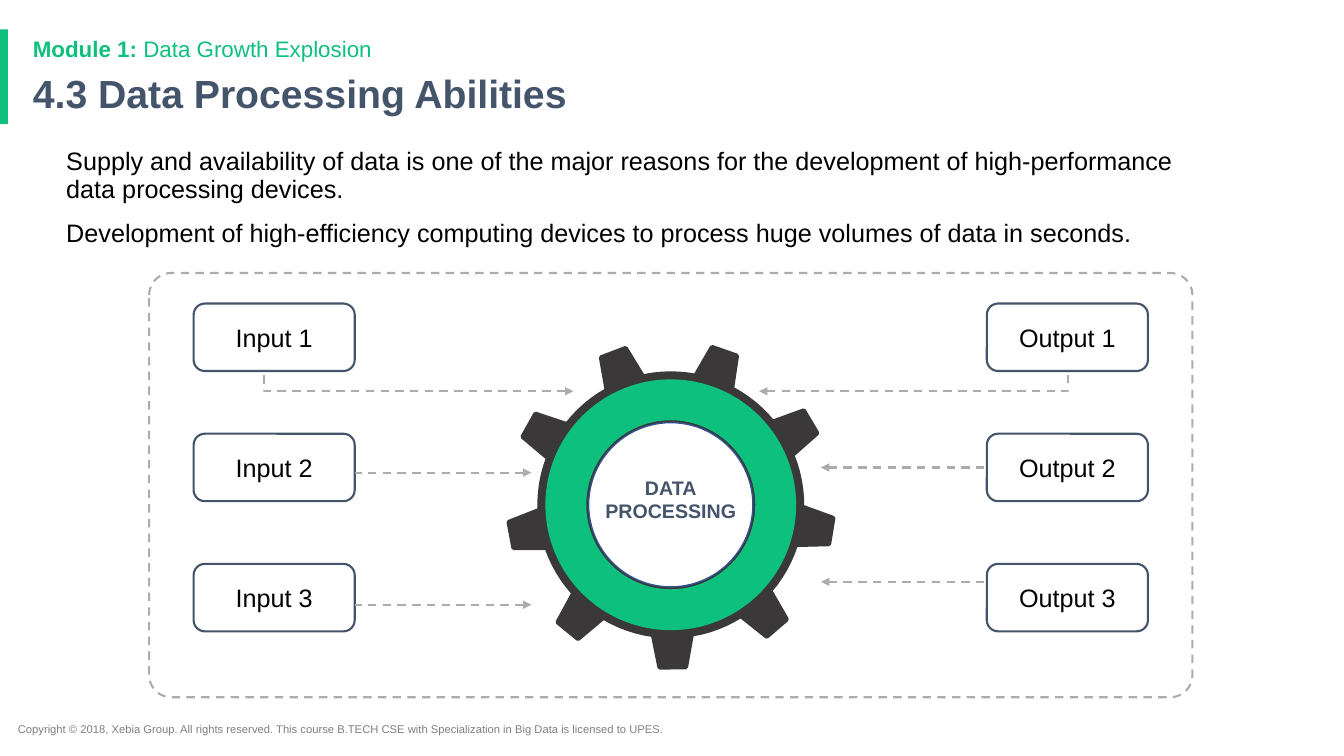
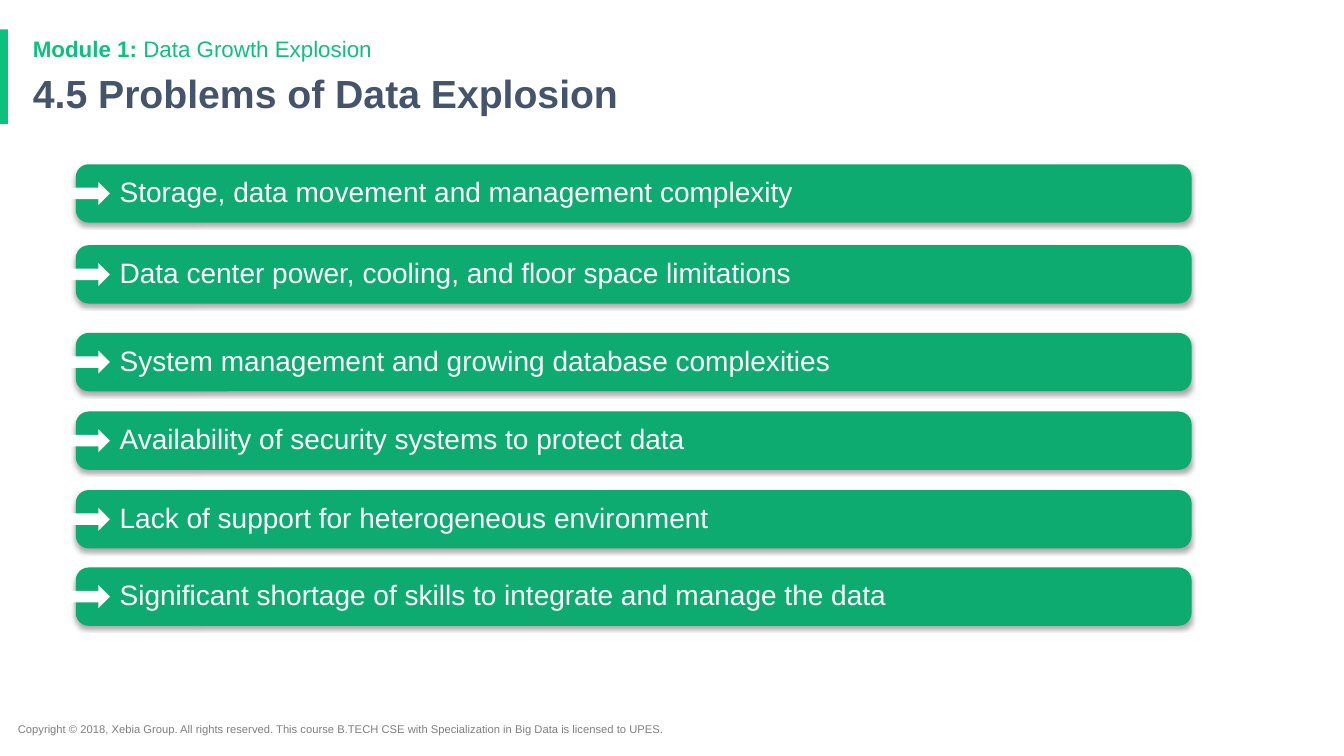
import math

import lxml.etree
import pptx
import pptx.dml.color
import pptx.enum.dml
import pptx.enum.shapes
import pptx.enum.text
import pptx.oxml.ns
import pptx.util

Cm = pptx.util.Cm
Pt = pptx.util.Pt
SHAPE = pptx.enum.shapes.MSO_SHAPE
ALIGN = pptx.enum.text.PP_ALIGN
ANCHOR = pptx.enum.text.MSO_ANCHOR
qn = pptx.oxml.ns.qn

FONT = "Arial"
COLOURS = {
    "green": "0EC07D", "bar": "0DAB6F", "slate": "44546A", "gear": "3A3838",
    "dash": "AEABAB", "footer": "7F7F7F", "rim": "31538F",
    "white": "FFFFFF", "black": "000000",
}
MODULE = [("Module 1: ", True), ("Data Growth Explosion", False)]
COPYRIGHT = ("Copyright © 2018, Xebia Group. All rights reserved. This course B.TECH CSE "
             "with Specialization in Big Data is licensed to UPES.")


def colour(name):
    """Return the named palette colour."""
    return pptx.dml.color.RGBColor.from_string(COLOURS[name])


def write_text(shape, paragraphs, size=18, color="black", bold=False, align=ALIGN.LEFT,
               anchor=ANCHOR.TOP, spacing=1.0, before=0, indent=0, inset=0.13):
    """Write paragraphs, each a string or a list of (text, bold) runs, into a shape."""
    frame = shape.text_frame
    frame.word_wrap = True
    frame.vertical_anchor = anchor
    frame.margin_left = frame.margin_right = Cm(0.25)
    frame.margin_top = frame.margin_bottom = Cm(inset)
    for index, content in enumerate(paragraphs):
        paragraph = frame.add_paragraph() if index else frame.paragraphs[0]
        paragraph.alignment = align
        paragraph.line_spacing = spacing
        if index and before:
            paragraph.space_before = Pt(before)
        if indent:
            properties = paragraph._p.get_or_add_pPr()
            properties.set("marL", str(Cm(indent)))
            properties.set("indent", "0")
        runs = [(content, bold)] if isinstance(content, str) else content
        for text, strong in runs:
            run = paragraph.add_run()
            run.text = text
            run.font.name = FONT
            run.font.size = Pt(size)
            run.font.bold = strong
            run.font.color.rgb = colour(color)


def add_text(slide, box, paragraphs, **text_format):
    """Add a text box at (left, top, width, height)."""
    write_text(slide.shapes.add_textbox(*map(Cm, box)), paragraphs, **text_format)


def style_shape(shape, fill=None, line=None, width=1.5, dashed=False):
    """Set fill and outline and switch off the shadow."""
    shape.shadow.inherit = False
    if fill:
        shape.fill.solid()
        shape.fill.fore_color.rgb = colour(fill)
    else:
        shape.fill.background()
    if line:
        style_line(shape.line, line, width, dashed)
    else:
        shape.line.fill.background()


def style_line(line, color, width, dashed):
    """Set colour, width and dash of a line."""
    line.color.rgb = colour(color)
    line.width = Pt(width)
    if dashed:
        line.dash_style = pptx.enum.dml.MSO_LINE.DASH


def add_shape(slide, kind, box, adjustment=None, **style):
    """Add a styled preset shape at (left, top, width, height)."""
    shape = slide.shapes.add_shape(kind, *map(Cm, box))
    if adjustment is not None:
        shape.adjustments[0] = adjustment
    style_shape(shape, **style)
    return shape


def add_disc(slide, kind, centre, diameter, **style):
    """Add a round shape about a centre."""
    x, y = centre
    box = (x - diameter / 2, y - diameter / 2, diameter, diameter)
    return add_shape(slide, kind, box, **style)


def add_outline(slide, points, close, **style):
    """Add a freeform through points given in centimetres."""
    points = [(Cm(x), Cm(y)) for x, y in points]
    builder = slide.shapes.build_freeform(*points[0])
    builder.add_line_segments(points[1:], close=close)
    shape = builder.convert_to_shape()
    style_shape(shape, **style)
    return shape


def add_arrowhead(shape):
    """Put a triangle at the start of a line."""
    outline = shape.line._get_or_add_ln()
    lxml.etree.SubElement(outline, qn("a:headEnd"), type="triangle")


def add_elbow(slide, tip, corner_x, start_y):
    """Draw a dashed elbow arrow whose head is at tip."""
    points = [tip, (corner_x, tip[1]), (corner_x, start_y)]
    add_arrowhead(add_outline(slide, points, False, line="dash", dashed=True))


def add_arrow(slide, tip, start_x, joined_box=None):
    """Draw a level dashed arrow whose head is at tip, optionally joined to a box."""
    x, y = tip
    kind = pptx.enum.shapes.MSO_CONNECTOR.STRAIGHT
    connector = slide.shapes.add_connector(kind, Cm(x), Cm(y), Cm(start_x), Cm(y))
    if joined_box is not None:
        connector.end_connect(joined_box, 1)
    style_line(connector.line, "dash", 1.5, True)
    add_arrowhead(connector)
    lxml.etree.SubElement(connector._element.spPr, qn("a:effectLst"))


def add_gear(slide, centre, teeth=9, tip_radius=4.11, root_radius=3.31):
    """Draw the labelled gear about its centre."""
    x, y = centre
    pitch = 360 / teeth
    profile = [(-8.5, root_radius), (-4.65, tip_radius), (4.65, tip_radius)]
    gap = pitch - 17
    profile += [(8.5 + gap * step / 6, root_radius) for step in range(6)]
    points = []
    for tooth in range(teeth):
        for offset, radius in profile:
            angle = math.radians(9.3 + tooth * pitch + offset)
            points.append((x + radius * math.cos(angle), y + radius * math.sin(angle)))
    add_outline(slide, points, True, fill="gear", line="gear", width=3)
    add_disc(slide, SHAPE.DONUT, centre, 6.32, adjustment=0.163, fill="green")
    add_disc(slide, SHAPE.OVAL, centre, 4.14, fill="white", line="rim", width=1)
    add_text(slide, (x - 2.31, y - 0.86, 4.62, 1.45), ["DATA", "PROCESSING"],
             size=14, color="slate", bold=True, align=ALIGN.CENTER)


def add_process_diagram(slide, box):
    """Draw inputs and outputs around a gear inside a dashed frame."""
    left, top, width, height = box
    box_width, box_height, margin = 4.06, 1.7, 1.12
    first_top, pitch = top + 0.77, 3.28
    add_shape(slide, SHAPE.ROUNDED_RECTANGLE, box, 0.052, line="dash", dashed=True)
    add_gear(slide, (left + width / 2, top + 5.84))

    input_left = left + margin
    output_left = left + width - margin - box_width
    boxes = {}
    for name, box_left in (("Input", input_left), ("Output", output_left)):
        for row in range(3):
            shape = add_shape(slide, SHAPE.ROUNDED_RECTANGLE,
                              (box_left, first_top + row * pitch, box_width, box_height),
                              0.167, fill="white", line="slate")
            label = f"{name} {row + 1}"
            write_text(shape, [label], align=ALIGN.CENTER, anchor=ANCHOR.MIDDLE)
            boxes[label] = shape

    for tip_x, corner_x in ((10.69, 2.89), (15.37, 23.16)):
        add_elbow(slide, (left + tip_x, top + 2.98), left + corner_x, first_top + box_height)
    for tip_y in (5.03, 8.36):
        add_arrow(slide, (left + 9.63, top + tip_y), input_left + box_width)
    middle_y = first_top + pitch + box_height / 2
    add_arrow(slide, (left + 16.93, middle_y), output_left, boxes["Output 2"])
    add_arrow(slide, (left + 16.93, top + 7.78), output_left)


def add_problem_bar(slide, box, text):
    """Draw one shadowed bar with its text and arrow."""
    left, top, width, height = box
    bar = add_shape(slide, SHAPE.ROUNDED_RECTANGLE, box, 0.222, fill="bar")
    effects = bar._element.spPr.find(qn("a:effectLst"))
    shadow = lxml.etree.SubElement(effects, qn("a:outerShdw"), blurRad=str(Pt(3)),
                                   dist=str(Pt(2)), dir="5400000", rotWithShape="0")
    tint = lxml.etree.SubElement(shadow, qn("a:srgbClr"), val=COLOURS["black"])
    lxml.etree.SubElement(tint, qn("a:alpha"), val="35000")
    write_text(bar, [text], size=20, color="white", anchor=ANCHOR.MIDDLE,
               spacing=0.9, indent=0.76, inset=0.25)
    arrow_height = 0.58
    add_shape(slide, SHAPE.RIGHT_ARROW,
              (left - 0.18, top + (height - arrow_height) / 2, 1.04, arrow_height),
              fill="white")


def add_base_slide(presentation, title):
    """Add a blank slide with the shared band, headings and footer."""
    slide = presentation.slides.add_slide(presentation.slide_layouts[6])
    add_shape(slide, SHAPE.RECTANGLE, (0, 0.74, 0.2, 2.39), fill="green")
    add_text(slide, (0.2, 18.08, 18.11, 0.61), [COPYRIGHT], size=8, color="footer")
    add_text(slide, (0.58, 1.75, 29.21, 1.37), [title], size=28, color="slate",
             bold=True, spacing=0.9)
    add_text(slide, (0.58, 0.76, 29.21, 0.84), [MODULE], size=16, color="green")
    return slide


def build_processing_slide(presentation):
    """Build the slide on data processing abilities."""
    slide = add_base_slide(presentation, "4.3 Data Processing Abilities")
    add_text(slide, (1.42, 3.63, 28.55, 3), [
        "Supply and availability of data is one of the major reasons for the development "
        "of high-performance data processing devices.",
        "Development of high-efficiency computing devices to process huge volumes of data "
        "in seconds.",
    ], spacing=0.9, before=12)
    add_process_diagram(slide, (3.76, 6.88, 26.29, 10.69))


def build_problems_slide(presentation):
    """Build the slide on problems of data explosion."""
    slide = add_base_slide(presentation, "4.5 Problems of Data Explosion")
    problems = [
        (4.14, "Storage, data movement and management complexity"),
        (6.18, "Data center power, cooling, and floor space limitations"),
        (8.39, "System management and growing database complexities"),
        (10.37, "Availability of security systems to protect data"),
        (12.35, "Lack of support for heterogeneous environment"),
        (14.3, "Significant shortage of skills to integrate and manage the data"),
    ]
    for top, text in problems:
        add_problem_bar(slide, (1.91, top, 28.12, 1.47), text)


def main():
    """Build and save the presentation."""
    presentation = pptx.Presentation()
    presentation.slide_width = Cm(33.87)
    presentation.slide_height = Cm(19.05)
    build_processing_slide(presentation)
    build_problems_slide(presentation)
    presentation.save("out.pptx")


if __name__ == "__main__":
    main()
